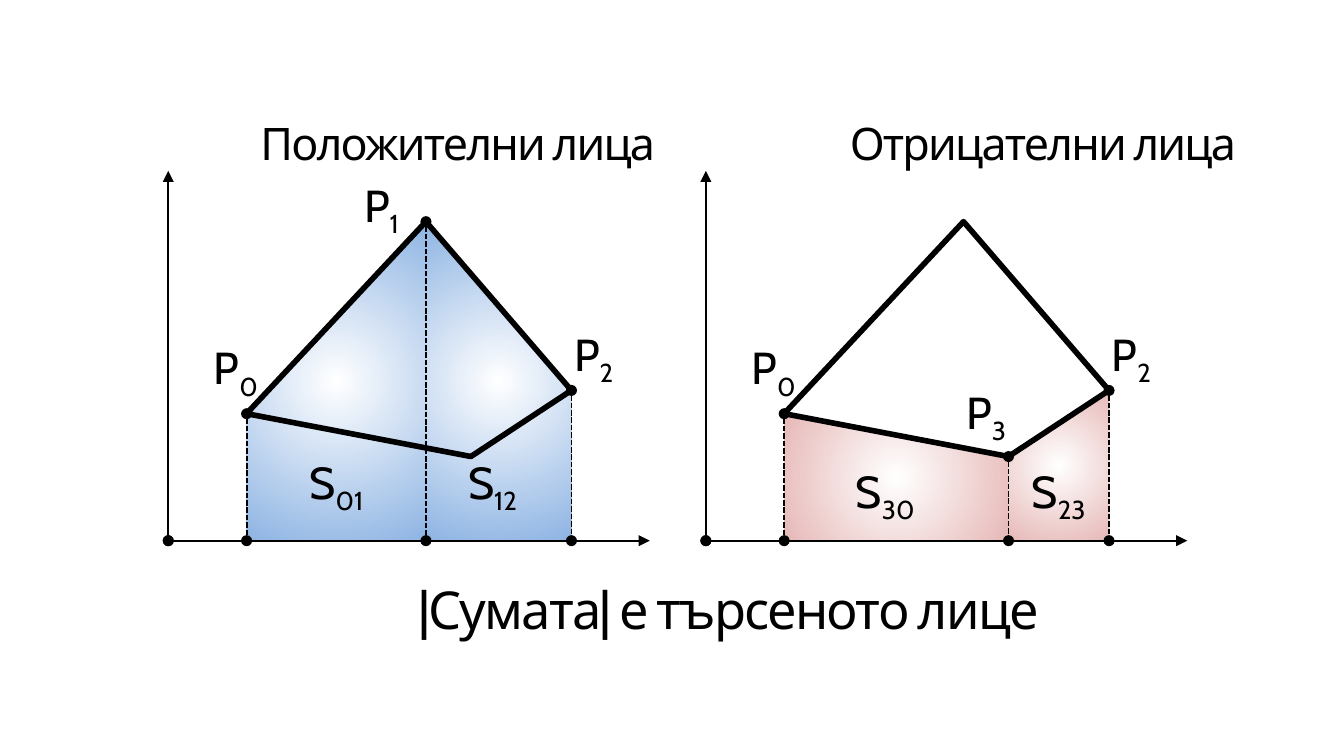
from dataclasses import dataclass
from typing import NamedTuple

import lxml.etree
import pptx
import pptx.dml.color
import pptx.enum.dml
import pptx.enum.shapes
import pptx.enum.text
import pptx.oxml.ns
import pptx.util

Cm = pptx.util.Cm
qn = pptx.oxml.ns.qn


@dataclass(frozen=True)
class Theme:
    font: str = "Cabin"
    ink: str = "000000"
    glow: str = "FFFFFF"
    positive: str = "8EB4E3"
    negative: str = "E6B9B8"
    body_size: int = 24
    summary_size: int = 28
    thin: int = 1
    thick: int = 3


class Point(NamedTuple):
    x: float
    y: float


class Label(NamedTuple):
    letter: str
    index: str
    center: float
    top: float


@dataclass(frozen=True)
class Panel:
    left: float
    heading: str
    heading_center: float
    area_color: str
    edges: list[tuple[Point, Point]]
    drops: list[Point]
    labels: list[Label]


THEME = Theme()
BASELINE = 10.22
AXIS_TOP = 3.23
AXIS_LENGTH = 9.1
P0, P1, P2, P3 = Point(1.48, 7.82), Point(4.87, 4.19), Point(7.62, 7.38), Point(5.72, 8.63)
SHARED_LABELS = [Label("P", "0", 1.28, 6.3), Label("P", "2", 8.04, 6.05)]

PANELS = [
    Panel(3.18, "Положителни лица", 5.47, THEME.positive,
          [(P0, P1), (P1, P2)], [P0, P1, P2],
          SHARED_LABELS + [Label("P", "1", 4.03, 3.23),
                           Label("S", "01", 3.18, 8.46), Label("S", "12", 6.13, 8.46)]),
    Panel(13.34, "Отрицателни лица", 6.37, THEME.negative,
          [(P0, P3), (P3, P2)], [P0, P3, P2],
          SHARED_LABELS + [Label("P", "3", 5.3, 7.14),
                           Label("S", "30", 3.39, 8.64), Label("S", "23", 6.67, 8.64)]),
]


def rgb(color: str) -> pptx.dml.color.RGBColor:
    return pptx.dml.color.RGBColor.from_string(color)


def add_polygon(slide, left: float, points: list[Point]):
    corners = [(Cm(left + point.x), Cm(point.y)) for point in points]
    builder = slide.shapes.build_freeform(*corners[0], scale=1.0)
    builder.add_line_segments(corners[1:], close=True)
    polygon = builder.convert_to_shape()
    polygon.shadow.inherit = False
    return polygon


def add_area(slide, panel: Panel, start: Point, end: Point) -> None:
    feet = [Point(end.x, BASELINE), Point(start.x, BASELINE)]
    area = add_polygon(slide, panel.left, [start, end, *feet])
    area.line.fill.background()
    area.fill.gradient()
    for stop, color, position in zip(area.fill.gradient_stops,
                                     (THEME.glow, panel.area_color), (0, 1)):
        stop.color.rgb = rgb(color)
        stop.position = position
    gradient = area._element.spPr.find(qn("a:gradFill"))
    linear = gradient.find(qn("a:lin"))
    radial = lxml.etree.Element(qn("a:path"), {"path": "circle"})
    lxml.etree.SubElement(radial, qn("a:fillToRect"), dict.fromkeys("ltrb", "50000"))
    gradient.replace(linear, radial)


def add_line(slide, start: Point, end: Point, tail: str, dashed: bool = False) -> None:
    connector = slide.shapes.add_connector(
        pptx.enum.shapes.MSO_CONNECTOR.STRAIGHT,
        Cm(start.x), Cm(start.y), Cm(end.x), Cm(end.y))
    connector.line.color.rgb = rgb(THEME.ink)
    connector.line.width = pptx.util.Pt(THEME.thin)
    if dashed:
        connector.line.dash_style = pptx.enum.dml.MSO_LINE.SQUARE_DOT
    properties = connector._element.spPr
    outline = properties.find(qn("a:ln"))
    lxml.etree.SubElement(outline, qn("a:headEnd"), {"type": "oval"})
    lxml.etree.SubElement(outline, qn("a:tailEnd"), {"type": tail})
    lxml.etree.SubElement(properties, qn("a:effectLst"))


def add_text(slide, text: str, center: float, top: float, width: float,
             height: float, size: int):
    box = slide.shapes.add_textbox(Cm(center - width / 2), Cm(top), Cm(width), Cm(height))
    frame = box.text_frame
    frame.word_wrap = True
    frame.margin_left = frame.margin_right = 0
    frame.margin_top = frame.margin_bottom = 0
    frame.text = text
    para = frame.paragraphs[0]
    para.alignment = pptx.enum.text.PP_ALIGN.CENTER
    style_run(para.runs[0], size)
    return para


def style_run(span, size: int) -> None:
    span.font.name = THEME.font
    span.font.size = pptx.util.Pt(size)
    span.font.color.rgb = rgb(THEME.ink)


def add_caption(slide, text: str, center: float, top: float, width: float, size: int) -> None:
    para = add_text(slide, text, center, top, width, 1.4, size)
    para.runs[0]._r.get_or_add_rPr().set("spc", "-100")


def add_label(slide, left: float, label: Label) -> None:
    para = add_text(slide, label.letter, left + label.center, label.top + 0.13,
                    2, 1.5, THEME.body_size)
    index = para.add_run()
    index.text = label.index
    style_run(index, THEME.body_size)
    index._r.get_or_add_rPr().set("baseline", "-25000")


def draw_panel(slide, panel: Panel) -> None:
    for start, end in panel.edges:
        add_area(slide, panel, start, end)
    origin = Point(panel.left, BASELINE)
    add_line(slide, origin, Point(panel.left, AXIS_TOP), "triangle")
    add_line(slide, origin, Point(panel.left + AXIS_LENGTH, BASELINE), "triangle")
    for point in panel.drops:
        x = panel.left + point.x
        add_line(slide, Point(x, point.y), Point(x, BASELINE), "oval", dashed=True)
    outline = add_polygon(slide, panel.left, [P0, P1, P2, P3])
    outline.fill.background()
    outline.line.color.rgb = rgb(THEME.ink)
    outline.line.width = pptx.util.Pt(THEME.thick)
    for label in panel.labels:
        add_label(slide, panel.left, label)
    add_caption(slide, panel.heading, panel.left + panel.heading_center, 2.18, 9,
                THEME.body_size)


def main() -> None:
    deck = pptx.Presentation()
    deck.slide_width, deck.slide_height = Cm(25.4), Cm(14.29)
    page = deck.slides.add_slide(deck.slide_layouts[6])
    for panel in PANELS:
        draw_panel(page, panel)
    add_caption(page, "|Сумата| е търсеното лице", 13.77, 10.92, 16, THEME.summary_size)
    deck.save("out.pptx")


if __name__ == "__main__":
    main()
